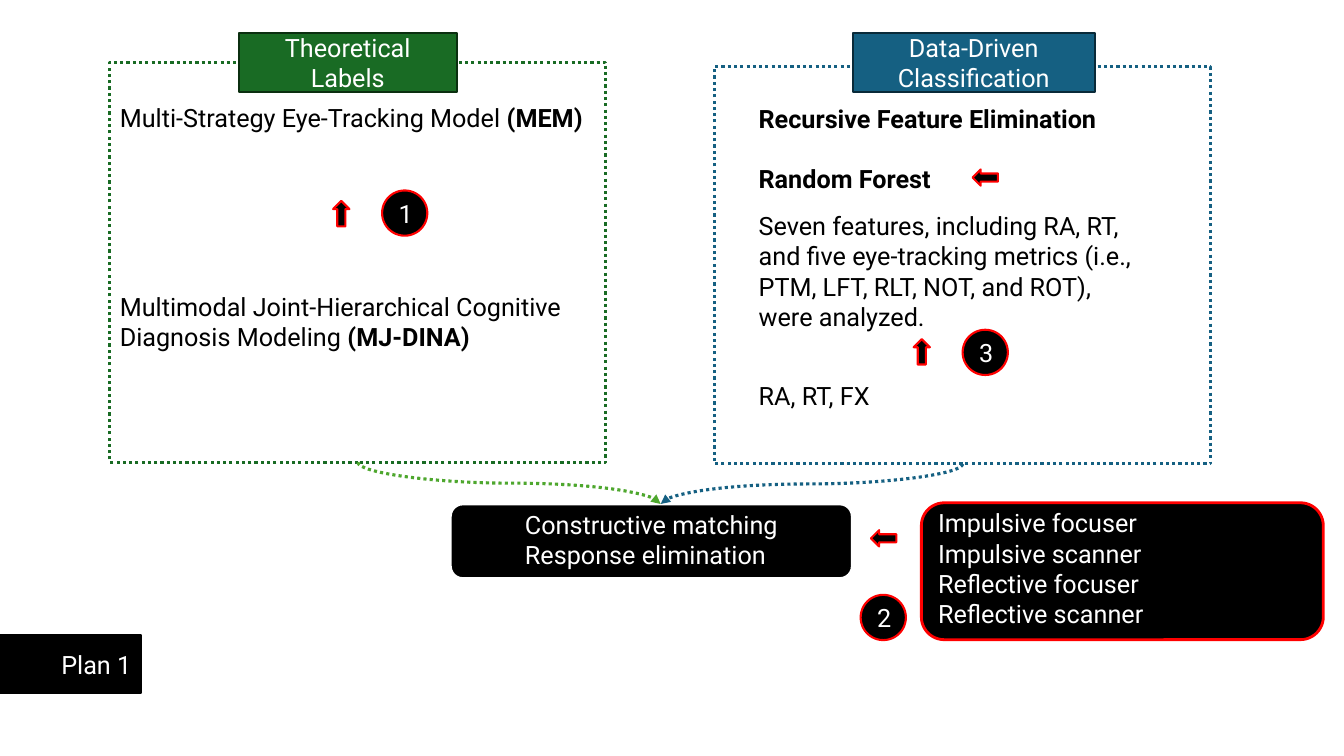
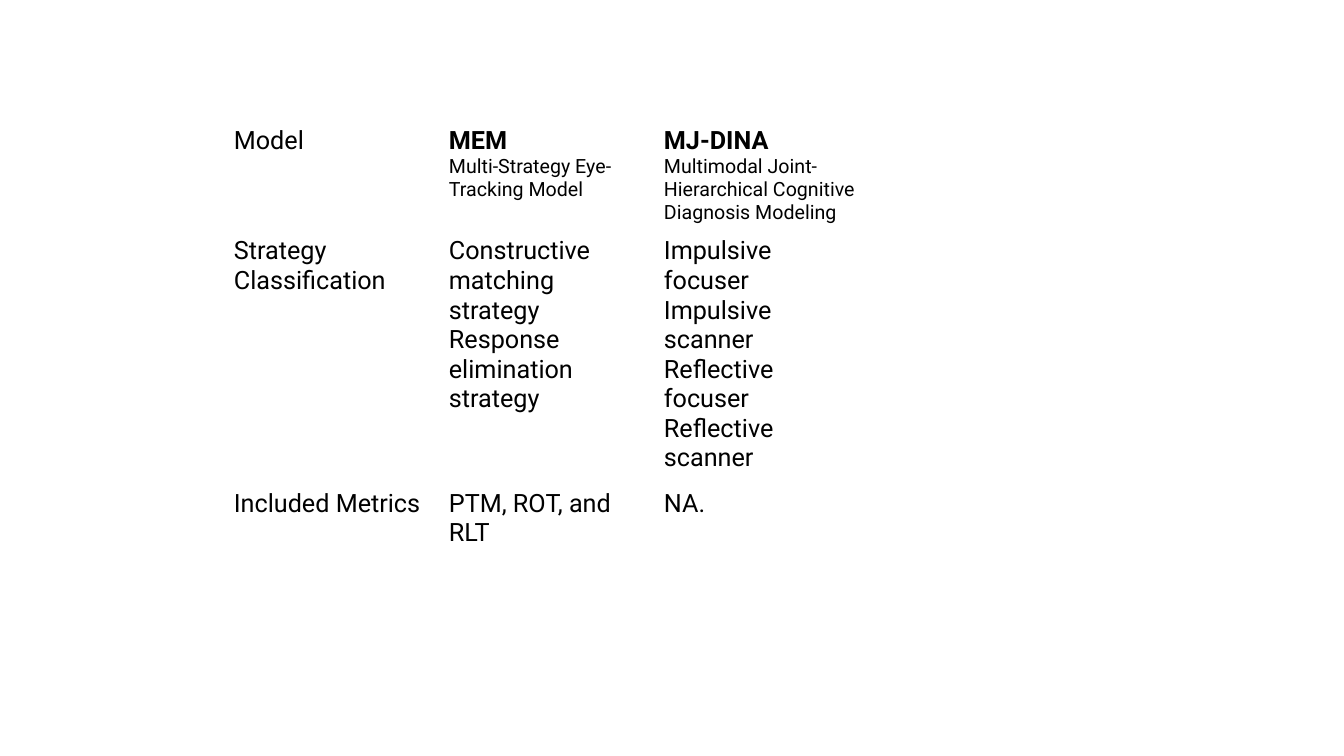
from dataclasses import dataclass

from lxml.etree import SubElement
from pptx import Presentation
from pptx.dml.color import RGBColor
from pptx.enum.dml import MSO_LINE
from pptx.enum.shapes import MSO_CONNECTOR, MSO_SHAPE
from pptx.enum.text import MSO_ANCHOR, PP_ALIGN
from pptx.oxml.ns import qn
from pptx.util import Cm, Pt


@dataclass(frozen=True)
class Theme:
    font: str = "Roboto"
    body: int = 18
    small: int = 14
    thin: float = 1.5
    medium: float = 2
    thick: float = 2.25
    black: str = "000000"
    white: str = "FFFFFF"
    red: str = "FF0000"
    green: str = "196B24"
    dark_green: str = "0B2F10"
    light_green: str = "4EA72E"
    blue: str = "156082"
    dark_blue: str = "092A39"


THEME = Theme()
BOLD = {"bold": True}
SMALL = {"size": Pt(THEME.small)}
STRATEGY_STYLES = ["Impulsive focuser", "Impulsive scanner",
                   "Reflective focuser", "Reflective scanner"]


# Text: a paragraph is a string or a list of (text, font format) runs
def write_text(frame, paragraphs, color=THEME.black, **paragraph_format):
    frame.word_wrap = True
    for index, content in enumerate(paragraphs):
        paragraph = frame.paragraphs[0] if index == 0 else frame.add_paragraph()
        for name, value in paragraph_format.items():
            setattr(paragraph, name, value)
        runs = [(content, {})] if isinstance(content, str) else content
        for text, font_format in runs:
            run = paragraph.add_run()
            run.text = text
            values = {"name": THEME.font, "size": Pt(THEME.body), "bold": False}
            for name, value in {**values, **font_format}.items():
                setattr(run.font, name, value)
            run.font.color.rgb = RGBColor.from_string(color)


def add_text(slide, box, paragraphs, color=THEME.black):
    shape = slide.shapes.add_textbox(*map(Cm, box))
    write_text(shape.text_frame, paragraphs, color)
    return shape


# Shapes
def style_line(line, color, width, dotted=False):
    line.color.rgb = RGBColor.from_string(color)
    line.width = Pt(width)
    if dotted:
        line.dash_style = MSO_LINE.ROUND_DOT


def add_box(slide, kind, box, fill, outline, width, dotted=False):
    shape = slide.shapes.add_shape(kind, *map(Cm, box))
    shape.shadow.inherit = False
    if fill:
        shape.fill.solid()
        shape.fill.fore_color.rgb = RGBColor.from_string(fill)
    else:
        shape.fill.background()
    style_line(shape.line, outline, width, dotted)
    return shape


def add_label(slide, box, paragraphs, fill, outline, alignment=PP_ALIGN.CENTER):
    shape = add_box(slide, MSO_SHAPE.RECTANGLE, box, fill, outline, THEME.thin)
    shape.text_frame.vertical_anchor = MSO_ANCHOR.MIDDLE
    write_text(shape.text_frame, paragraphs, THEME.white, alignment=alignment)


def add_panel(slide, box, color):
    return add_box(slide, MSO_SHAPE.RECTANGLE, box, None, color, THEME.thick, True)


def add_badge(slide, left, top, number):
    shape = add_box(slide, MSO_SHAPE.OVAL, (left, top, 1.14, 1.14),
                    THEME.black, THEME.red, THEME.thin)
    shape.text_frame.vertical_anchor = MSO_ANCHOR.MIDDLE
    write_text(shape.text_frame, [number], THEME.white, alignment=PP_ALIGN.CENTER)


def add_arrow(slide, left, top, rotation):
    shape = add_box(slide, MSO_SHAPE.LEFT_ARROW, (left, top, 0.64, 0.41),
                    THEME.black, THEME.red, THEME.thin)
    shape.rotation = rotation


def add_curve(slide, source, target, color):
    """Curve down from the bottom of source to the top of target."""
    start_x, start_y = source.left + source.width // 2, source.top + source.height
    end_x, end_y = target.left + target.width // 2, target.top
    connector = slide.shapes.add_connector(
        MSO_CONNECTOR.CURVE, start_x, start_y, end_x, end_y)
    connector.begin_connect(source, 2)
    connector.end_connect(target, 0)
    # A vertical start needs the curve turned by a quarter about its centre
    drop, reach = end_y - start_y, abs(end_x - start_x)
    geometry = {"left": (start_x + end_x - drop) // 2,
                "top": (start_y + end_y - reach) // 2,
                "width": drop, "height": reach}
    for name, value in geometry.items():
        setattr(connector, name, value)
    properties = connector._element.spPr
    transform = properties.find(qn("a:xfrm"))
    rightward = end_x > start_x
    transform.set("rot", str((270 if rightward else 90) * 60000))
    transform.set("flipH", "1" if rightward else "0")
    style_line(connector.line, color, THEME.thick, True)
    SubElement(properties.find(qn("a:ln")), qn("a:tailEnd"), type="triangle")
    SubElement(properties, qn("a:effectLst"))


# Table
def add_plain_table(slide, left, top, column_width, row_height, rows):
    columns = len(rows[0])
    table = slide.shapes.add_table(
        len(rows), columns, Cm(left), Cm(top),
        Cm(column_width * columns), Cm(row_height * len(rows))).table
    table.first_row = table.horz_banding = False
    for row_index, row in enumerate(rows):
        for column_index, paragraphs in enumerate(row):
            cell = table.cell(row_index, column_index)
            cell.fill.background()
            write_text(cell.text_frame, paragraphs)


def build_plan(slide):
    # Result box
    add_box(slide, MSO_SHAPE.ROUNDED_RECTANGLE, (11.35, 12.7, 10.13, 1.88),
            THEME.black, THEME.white, THEME.medium)
    result = add_text(slide, (12.98, 12.7, 7.34, 1.8),
                      ["Constructive matching", "Response elimination"], THEME.white)

    # Theoretical side
    theory = add_panel(slide, (2.77, 1.57, 12.5, 10.08), THEME.green)
    add_label(slide, (6.02, 0.84, 5.49, 1.47), ["Theoretical Labels"],
              THEME.green, THEME.dark_green)
    add_text(slide, (2.77, 2.46, 16.94, 1.02),
             [[("Multi-Strategy Eye-Tracking Model ", {}), ("(MEM)", BOLD)]])
    add_text(slide, (2.77, 7.21, 12.5, 1.8),
             [[("Multimodal Joint-Hierarchical Cognitive Diagnosis Modeling ", {}),
               ("(MJ-DINA)", BOLD)]])

    # Data-driven side
    data = add_panel(slide, (18.01, 1.68, 12.5, 10.01), THEME.blue)
    add_label(slide, (21.49, 0.84, 6.1, 1.47), ["Data-Driven", "Classification"],
              THEME.blue, THEME.dark_blue)
    methods = add_text(slide, (18.87, 2.49, 10.36, 2.57),
                       [[("Recursive Feature Elimination", BOLD)],
                        [("Random Forest", BOLD)]])
    methods.text_frame.paragraphs[1].space_before = Pt(21)
    add_text(slide, (18.87, 5.18, 10.36, 3.33),
             ["Seven features, including RA, RT, and five eye-tracking metrics "
              "(i.e., PTM, LFT, RLT, NOT, and ROT), were analyzed."])
    add_text(slide, (18.87, 9.47, 7.75, 1.02), ["RA, RT, FX"])

    # Curves into the result
    add_curve(slide, theory, result, THEME.light_green)
    add_curve(slide, data, result, THEME.blue)

    # Strategy styles
    add_box(slide, MSO_SHAPE.ROUNDED_RECTANGLE, (23.22, 12.67, 10.13, 3.45),
            THEME.black, THEME.red, THEME.medium)
    add_text(slide, (23.39, 12.67, 9.96, 3.33), STRATEGY_STYLES, THEME.white)

    # Step arrows and numbers
    for left, top, rotation in [(21.95, 13.36, 0), (8.28, 5.18, 90),
                                (22.91, 8.66, 90), (24.51, 4.27, 0)]:
        add_arrow(slide, left, top, rotation)
    for left, top, number in [(9.63, 4.8, "1"), (21.69, 14.99, "2"),
                              (24.26, 8.31, "3")]:
        add_badge(slide, left, top, number)

    # Plan tag
    add_label(slide, (0, 16, 3.56, 1.47), ["Plan 1"],
              THEME.black, THEME.black, PP_ALIGN.RIGHT)


def build_models(slide):
    empty_row = [[], [], []]
    rows = [
        empty_row,
        [["Model"],
         [[("MEM", BOLD)], [("Multi-Strategy Eye-Tracking Model", SMALL)]],
         [[("MJ-DINA", BOLD)],
          [("Multimodal Joint-Hierarchical Cognitive Diagnosis Modeling", SMALL)]]],
        [["Strategy Classification"],
         ["Constructive matching strategy", "Response elimination strategy"],
         STRATEGY_STYLES],
        [["Included Metrics"], ["PTM, ROT, and RLT"], ["NA."]],
        empty_row,
        empty_row,
    ]
    add_plain_table(slide, 5.64, 2.01, 5.42, 1.03, rows)


def main():
    presentation = Presentation()
    presentation.slide_width, presentation.slide_height = Cm(33.87), Cm(19.05)
    blank_layout = presentation.slide_layouts[6]
    for build in (build_plan, build_models):
        build(presentation.slides.add_slide(blank_layout))
    presentation.save("out.pptx")


if __name__ == "__main__":
    main()
